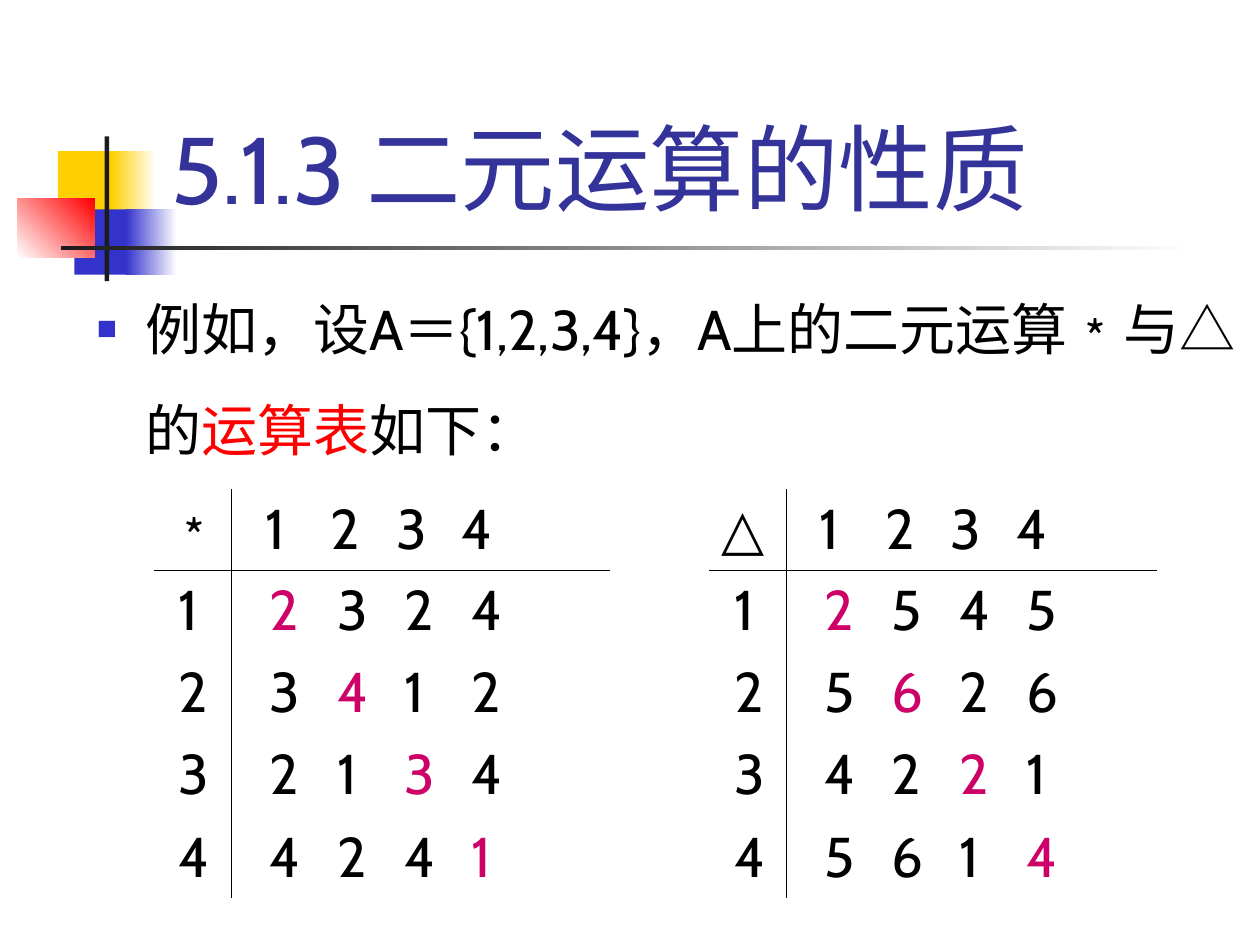
from dataclasses import dataclass

from lxml.etree import SubElement
from pptx import Presentation
from pptx.dml.color import RGBColor
from pptx.enum.shapes import MSO_SHAPE
from pptx.enum.text import MSO_ANCHOR, MSO_AUTO_SIZE, PP_ALIGN
from pptx.oxml import parse_xml
from pptx.oxml.ns import nsdecls, qn
from pptx.util import Cm, Pt


@dataclass(frozen=True)
class Theme:
    font: str = "Cabin"
    title_size: int = 54
    text_size: int = 32
    title: str = "333399"
    text: str = "000000"
    key_term: str = "FF0000"
    diagonal: str = "CC0066"
    yellow: str = "FFCF01"
    blue: str = "3333CC"
    red: str = "FF0000"
    dark: str = "1C1C1C"
    white: str = "FFFFFF"


theme = Theme()
NO_STYLE = "{2D5ABB26-0587-4C30-8999-92F81FD0307C}"


def add_run(p, text, color=theme.text, size=theme.text_size):
    r = p.add_run()
    r.text = text
    r.font.name = theme.font
    r.font.size = Pt(size)
    r.font.color.rgb = RGBColor.from_string(color)


def add_tabs(p, first, step):
    """Set four evenly spaced left tab stops, in centimetres."""
    tabs = SubElement(p._p.get_or_add_pPr(), qn("a:tabLst"))
    for i in range(4):
        SubElement(tabs, qn("a:tab"), pos=str(Cm(first + i * step)), algn="l")


prs = Presentation()
prs.slide_width, prs.slide_height = Cm(25.4), Cm(19.05)
s = prs.slides.add_slide(prs.slide_layouts[1])

# Corner ornament, behind the text: left, top, width, height, colours, angle
ornament = [
    (1.17, 3.05, 1.22, 1.32, [theme.yellow], 0),
    (2.24, 3.05, 0.91, 1.32, [theme.yellow, theme.white], 0),
    (1.5, 4.22, 1.17, 1.32, [theme.blue], 0),
    (2.54, 4.22, 1.02, 1.32, [theme.blue, theme.white], 0),
    (0.35, 4.01, 1.56, 1.18, [theme.white, theme.red], 45),
    (2.11, 2.75, 0.09, 2.92, [theme.dark], 0),
    (1.23, 4.95, 22.86, 0.09, [theme.dark, theme.white], 0),
]
for z, (left, top, width, height, colors, angle) in enumerate(ornament):
    sp = s.shapes.add_shape(MSO_SHAPE.RECTANGLE, Cm(left), Cm(top), Cm(width), Cm(height))
    sp.shadow.inherit = False
    sp.line.fill.background()
    if len(colors) == 1:
        sp.fill.solid()
        sp.fill.fore_color.rgb = RGBColor.from_string(colors[0])
    else:
        sp.fill.gradient()
        sp.fill.gradient_angle = angle
        for stop, color in zip(sp.fill.gradient_stops, colors):
            stop.color.rgb = RGBColor.from_string(color)
    s.shapes._spTree.insert(2 + z, sp._element)

# Title
title = s.shapes.title
title.left, title.top, title.width, title.height = Cm(3.2), Cm(0.58), Cm(21.64), Cm(4.06)
tf = title.text_frame
tf.auto_size = MSO_AUTO_SIZE.NONE
tf.vertical_anchor = MSO_ANCHOR.BOTTOM
p = tf.paragraphs[0]
p.alignment = PP_ALIGN.LEFT
add_run(p, "5.1.3 二元运算的性质", theme.title, theme.title_size)

# Bulleted statement
body = s.placeholders[1]
body.left, body.top, body.width, body.height = Cm(1.7), Cm(5.13), Cm(23.7), Cm(13.92)
tf = body.text_frame
tf.auto_size = MSO_AUTO_SIZE.NONE
p = tf.paragraphs[0]
p.line_spacing = 1.5
p.space_before = Pt(8)
pPr = p._p.get_or_add_pPr()
pPr.set("marL", str(Cm(0.97)))
pPr.set("indent", str(-Cm(0.97)))
SubElement(SubElement(pPr, qn("a:buClr")), qn("a:srgbClr"), val=theme.blue)
SubElement(pPr, qn("a:buSzPct"), val="60000")
SubElement(pPr, qn("a:buChar"), char="■")
add_run(p, "例如，设A＝{1,2,3,4}，A上的二元运算﹡与△的")
add_run(p, "运算表", theme.key_term)
add_run(p, "如下：")

# Operation tables: left, column widths, operator, results by row
operations = [
    (3.1, (1.57, 7.62), "﹡", ["2324", "3412", "2134", "4241"]),
    (14.3, (1.55, 7.47), "△", ["2545", "5626", "4221", "5614"]),
]
row_heights = (1.6, 6.53)
inner_borders = {(0, 0): "RB", (0, 1): "LB", (1, 0): "RT", (1, 1): "LT"}

for left, widths, operator, results in operations:
    frame = s.shapes.add_table(2, 2, Cm(left), Cm(9.86), Cm(sum(widths)), Cm(sum(row_heights)))
    table = frame.table
    table.first_row = table.horz_banding = False
    table._tbl.tblPr.find(qn("a:tableStyleId")).text = NO_STYLE
    for i in range(2):
        table.columns[i].width = Cm(widths[i])
        table.rows[i].height = Cm(row_heights[i])

    for (row, col), sides in inner_borders.items():
        cell = table.cell(row, col)
        cell.fill.background()
        for i, side in enumerate(sides):
            cell._tc.tcPr.insert(i, parse_xml(
                f'<a:ln{side} {nsdecls("a")} w="5715"><a:solidFill>'
                f'<a:srgbClr val="{theme.text}"/></a:solidFill></a:ln{side}>'))

    p = table.cell(0, 0).text_frame.paragraphs[0]
    p.space_before = Pt(8)
    add_run(p, operator)

    p = table.cell(0, 1).text_frame.paragraphs[0]
    p.space_before = Pt(8)
    add_tabs(p, 0.42, 1.32)
    for number in "1234":
        add_run(p, "\t" + number)

    labels, values = table.cell(1, 0), table.cell(1, 1)
    labels.margin_left = Cm(0.5)
    labels.margin_right = Cm(0.1)
    for i, result in enumerate(results):
        for cell in (labels, values):
            p = cell.text_frame.paragraphs[0] if i == 0 else cell.text_frame.add_paragraph()
            p.space_before = Pt(8)
            if cell is labels:
                add_run(p, str(i + 1))
                continue
            add_tabs(p, 0.51, 1.36)
            for j, number in enumerate(result):
                add_run(p, "\t" + number, theme.diagonal if i == j else theme.text)

prs.save("out.pptx")
